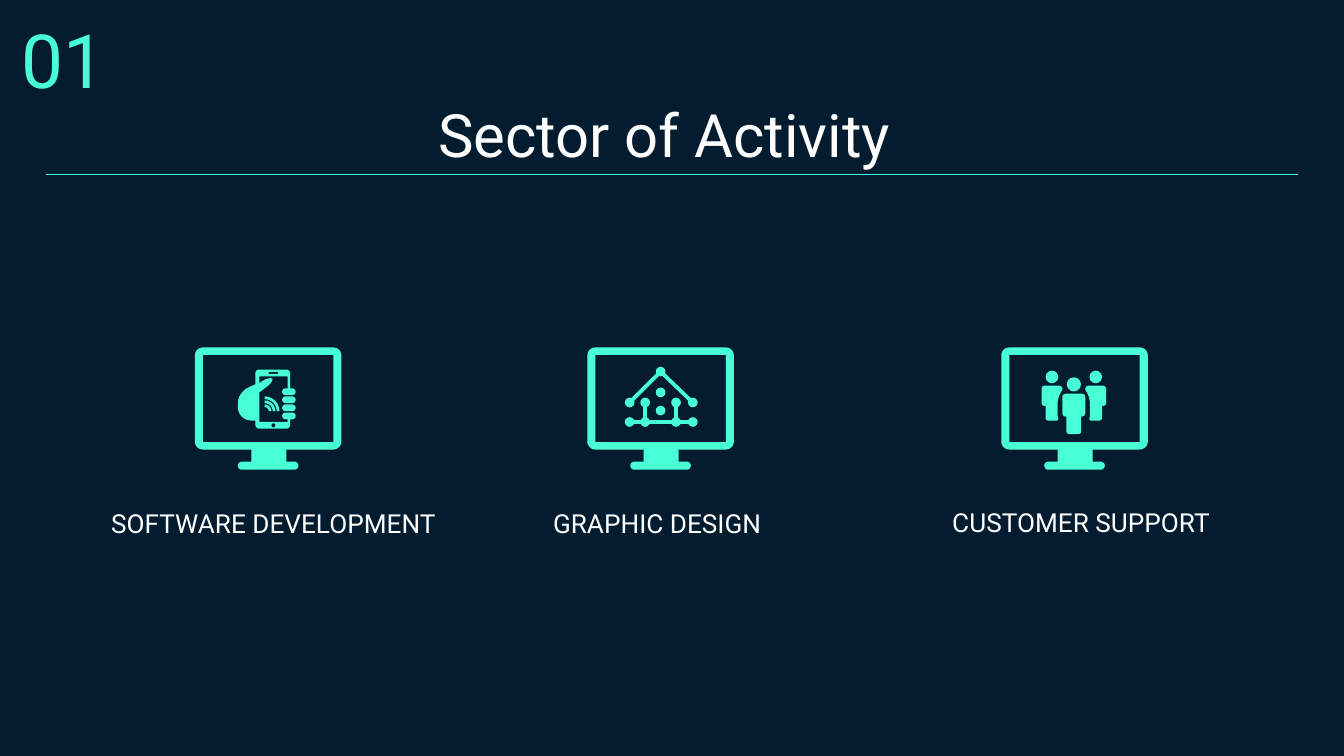
"""Builds the "Sector of Activity" slide on a grid 100 cells wide."""
from pptx import Presentation
from pptx.dml.color import RGBColor
from pptx.enum.shapes import MSO_CONNECTOR as Link, MSO_SHAPE as Preset
from pptx.enum.text import MSO_ANCHOR as Anchor, PP_ALIGN as Align
from pptx.oxml.ns import qn
from pptx.util import Inches, Pt
from lxml.etree import SubElement

NAVY = RGBColor(0x04, 0x1C, 0x2F)
MINT = RGBColor(0x48, 0xFF, 0xD5)
WHITE = RGBColor(0xFF, 0xFF, 0xFF)
FONT = "Roboto"
WIDTH = Inches(10)
HEIGHT = WIDTH * 9 // 16
CELL = WIDTH // 100


def cells(*lengths):
    return [round(length * CELL) for length in lengths]


def paint(shape):
    shape.shadow.inherit = False
    shape.fill.solid()
    shape.fill.fore_color.rgb = MINT
    shape.line.fill.background()


def add_label(shapes, words, box, size, color=WHITE, align=Align.CENTER):
    frame = shapes.add_textbox(*cells(*box)).text_frame
    frame.word_wrap = True
    frame.vertical_anchor = Anchor.BOTTOM
    frame.margin_left = frame.margin_right = Inches(0.1)
    frame.margin_top = frame.margin_bottom = Inches(0.1)
    paragraph = frame.paragraphs[0]
    paragraph.alignment = align
    run = paragraph.add_run()
    run.text = words
    run.font.name, run.font.size = FONT, Pt(size)
    run.font.color.rgb = color


def add_line(shapes, start, end, weight):
    line = shapes.add_connector(Link.STRAIGHT, *cells(*start, *end))
    line.line.color.rgb = MINT
    line.line.width = Pt(weight)
    SubElement(line._element.spPr, qn("a:effectLst"))


def add_dot(shapes, center, size):
    x, y = center
    paint(shapes.add_shape(Preset.OVAL, *cells(x - size / 2, y - size / 2, size, size)))


def toward(corner, neighbor, radius):
    dx, dy = neighbor[0] - corner[0], neighbor[1] - corner[1]
    share = radius / (dx * dx + dy * dy) ** 0.5
    return corner[0] + dx * share, corner[1] + dy * share


def rounded(corners, steps=6):
    """Return the outline through (x, y, radius) corners, with each corner rounded."""
    points = []
    for index, (x, y, radius) in enumerate(corners):
        if not radius:
            points.append((x, y))
            continue
        following = corners[(index + 1) % len(corners)]
        enter = toward((x, y), corners[index - 1], radius)
        leave = toward((x, y), following, radius)
        for step in range(steps + 1):
            t = step / steps
            a = (1 - t) ** 3 + 1.35 * (1 - t) ** 2 * t
            b = t ** 3 + 1.35 * (1 - t) * t ** 2
            points.append(tuple(a * p + b * q + (1 - a - b) * v
                                for p, q, v in zip(enter, leave, (x, y))))
    return points


def block(left, top, width, height, radius=0):
    right, bottom = left + width, top + height
    return [(left, top, radius), (right, top, radius),
            (right, bottom, radius), (left, bottom, radius)]


def add_outline(shapes, *contours):
    paths = [[cells(*point) for point in rounded(contour)] for contour in contours]
    builder = shapes.build_freeform(*paths[0][0])
    builder.add_line_segments(paths[0][1:])
    for path in paths[1:]:
        builder.move_to(*path[0])
        builder.add_line_segments(path[1:])
    paint(builder.convert_to_shape())


def add_monitor(shapes, left, top):
    case = [(0, 0, 0.6), (10.9, 0, 0.6), (10.9, 7.6, 0.6), (6.8, 7.6, 0),
            (6.8, 8.5, 0), (7.7, 8.5, 0.3), (7.7, 9.1, 0.3), (3.2, 9.1, 0.3),
            (3.2, 8.5, 0.3), (4.2, 8.5, 0), (4.2, 7.6, 0), (0, 7.6, 0.6)]
    add_outline(shapes, [(left + x, top + y, radius) for x, y, radius in case],
                block(left + 0.6, top + 0.55, 9.7, 6.5))


def wave(radius, x=19.7, y=30.6, band=0.2):
    inner = radius - band
    return [(x, y - radius, 0), (x + radius, y - radius, radius), (x + radius, y, 0),
            (x + inner, y, 0), (x + inner, y - inner, inner), (x, y - inner, 0)]


def add_phone(shapes):
    hand_and_case = [
        (19, 27.5, 0.3), (21.6, 27.5, 0.3), (21.6, 28.9, 0), (22, 28.9, 0.25),
        (22, 29.4, 0.25), (21, 29.4, 0.25), (21, 28.9, 0.25), (21.4, 28.9, 0),
        (21.4, 28, 0), (19.3, 28, 0), (19.3, 28.5, 0), (19.8, 28.2, 0.1),
        (20.4, 28.1, 0.3), (20.1, 28.6, 0.2), (19.3, 29.2, 0), (19.3, 31.4, 0),
        (21.4, 31.4, 0), (21.4, 31.2, 0), (21, 31.2, 0.25), (21, 30.7, 0.25),
        (22, 30.7, 0.25), (22, 31.2, 0.25), (21.6, 31.2, 0), (21.6, 31.9, 0.3),
        (19, 31.9, 0.3), (19, 31.3, 0), (17.7, 31.3, 1), (17.7, 29.2, 0.8),
        (19, 28.6, 0)]
    fingers = [block(21, top, 1, 0.5, 0.25) for top in (29.5, 30.1)]
    add_outline(shapes, hand_and_case, *fingers, *map(wave, (1.1, 0.8, 0.5)),
                block(20, 27.68, 0.7, 0.14), block(20.2, 31.5, 0.3, 0.3, 0.15))


def add_network(shapes):
    peak = (49.15, 27.65)
    eaves = [(46.85, 29.95), (51.55, 29.95)]
    posts = [(48, 29.95), (50.3, 29.95)]
    feet = [(x, 31.4) for x in (46.85, 48, 50.3, 51.55)]
    for eave in eaves:
        add_line(shapes, peak, eave, 2)
    for post, foot in zip(posts, feet[1:3]):
        add_line(shapes, post, foot, 2)
    add_line(shapes, feet[0], feet[-1], 2)
    for center in [peak, (49.15, 29.2), (49.15, 30.55), *eaves, *posts, *feet]:
        add_dot(shapes, center, 0.72)


def add_team(shapes, middle=79.9):
    helper = [(2.4, 28.7, 0.25), (0.85, 28.7, 0.25), (0.85, 29, 0), (1.2, 29.6, 0.4),
              (1.2, 31, 0), (1.1, 31.3, 0.2), (2.1, 31.3, 0.2), (2.1, 30.2, 0),
              (2.4, 30.2, 0.2)]
    leader = [(0.85, 29.3, 0.25), (0.85, 31, 0.25), (0.55, 31, 0), (0.55, 32.3, 0.2)]
    for side in (-1, 1):
        add_dot(shapes, (middle + side * 1.63, 28.05), 0.94)
        add_outline(shapes, [(middle + side * x, y, radius) for x, y, radius in helper])
    mirrored = [(-x, y, radius) for x, y, radius in reversed(leader)]
    add_outline(shapes, [(middle + x, y, radius) for x, y, radius in leader + mirrored])
    add_dot(shapes, (middle, 28.6), 1.06)


def main():
    deck = Presentation()
    deck.slide_width, deck.slide_height = WIDTH, HEIGHT
    slide = deck.slides.add_slide(deck.slide_layouts[6])
    slide.background.fill.solid()
    slide.background.fill.fore_color.rgb = NAVY
    shapes = slide.shapes

    add_label(shapes, "Sector of Activity ", (3.4, 7, 93.2, 6.6), 32)
    add_line(shapes, (3.4, 13), (96.6, 13), 0.75)
    add_label(shapes, "01", (0.6, 2.1, 12.9, 6.6), 40, MINT, Align.LEFT)

    sectors = [("SOFTWARE DEVELOPMENT", (5.3, 37.6, 30.1, 3.5), 14.5, add_phone),
               ("GRAPHIC DESIGN", (36.4, 37.6, 25, 3.5), 43.7, add_network),
               (" CUSTOMER SUPPORT", (67.1, 37, 26.2, 4), 74.5, add_team)]
    for name, box, left, add_symbol in sectors:
        add_label(shapes, name, box, 14)
        add_monitor(shapes, left, 25.85)
        add_symbol(shapes.add_group_shape().shapes)

    deck.save("out.pptx")


if __name__ == "__main__":
    main()
